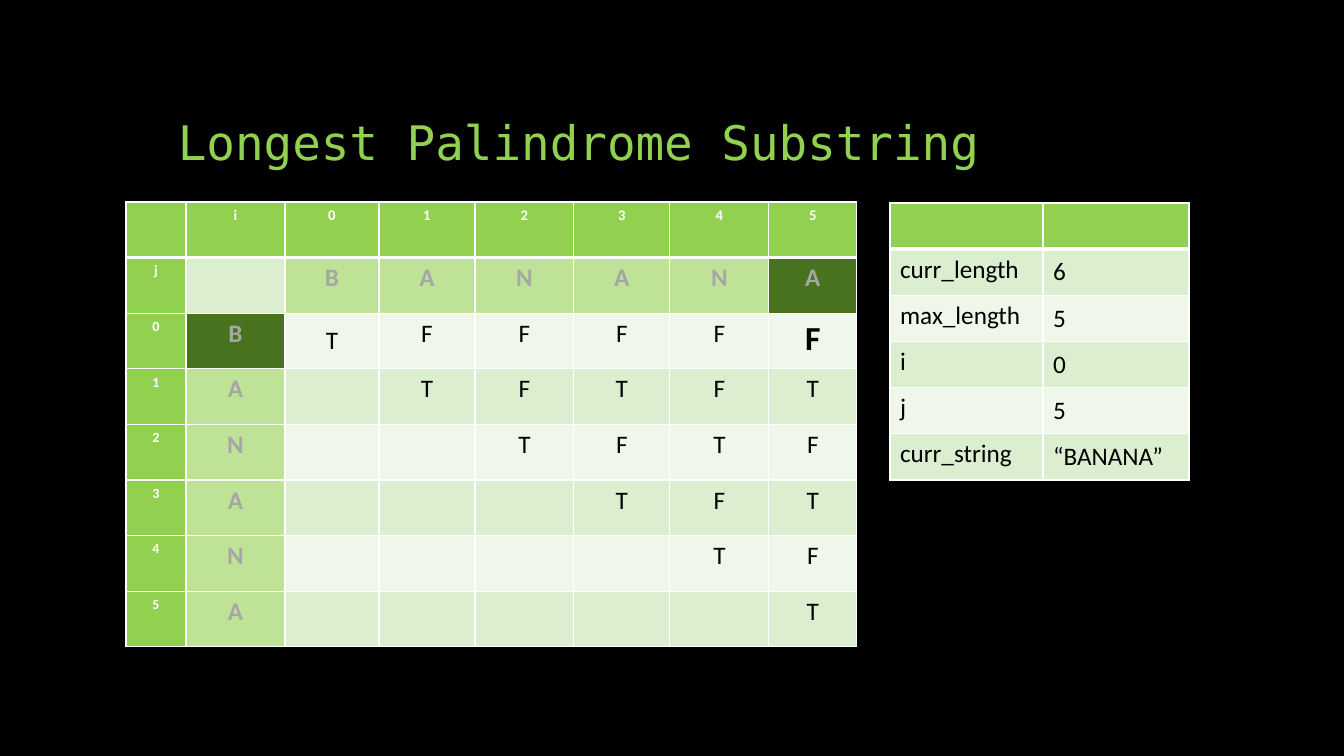
import pptx
import pptx.util
import pptx.dml.color
import pptx.enum.text
import pptx.oxml.ns
import lxml.etree

# Content
TITLE = "Longest Palindrome Substring"
WORD = "BANANA"
# Row = start of substring, column = its end
PALINDROMES = ["TFFFFF", " TFTFT", "  TFTF", "   TFT", "    TF", "     T"]
VARIABLES = [
    ("curr_length", "6"),
    ("max_length", "5"),
    ("i", "0"),
    ("j", "5"),
    ("curr_string", "“BANANA”"),
]
START, END = 0, 5  # substring under test

# Layout in px
SLIDE = (1344, 756)
TITLE_BOX = (168, 50, 1008, 126)
GRID_AT, GRID_COLUMNS, GRID_HEIGHT = (126, 202), (60, 99, 94, 96, 99, 96, 99, 88), 445
VARS_AT, VARS_COLUMNS, VARS_HEIGHT = (890, 203), (153, 146), 277

# Look
BLACK, WHITE, GRAY = "000000", "FFFFFF", "A6A6A6"
GREEN, LETTER_GREEN, ACTIVE_GREEN = "92D050", "BEE396", "49721E"
BANDS = ("EEF7E9", "DCEED0")
ANCHOR = pptx.enum.text.MSO_ANCHOR
CENTER = pptx.enum.text.PP_ALIGN.CENTER


def px(length):
    return pptx.util.Emu(round(length * 914400 / 100.8))


def color(hex_code):
    return pptx.dml.color.RGBColor.from_string(hex_code)


def write(frame, text, size=18, ink=BLACK, bold=False, font="Calibri", align=None, spacing=None):
    paragraph = frame.paragraphs[0]
    paragraph.alignment = align
    paragraph.line_spacing = spacing
    run = paragraph.add_run()
    run.text = text
    run.font.size = pptx.util.Pt(size)
    run.font.name = font
    run.font.bold = bold
    run.font.color.rgb = color(ink)


def border(cell, side, points):
    properties = cell._tc.get_or_add_tcPr()
    line = lxml.etree.SubElement(properties, pptx.oxml.ns.qn("a:ln" + side), w=str(pptx.util.Pt(points)))
    fill = lxml.etree.SubElement(line, pptx.oxml.ns.qn("a:solidFill"))
    lxml.etree.SubElement(fill, pptx.oxml.ns.qn("a:srgbClr"), val=WHITE)


def banded_table(at, columns, height, row_count):
    """Table with white rules, a green top row and alternating bands."""
    table = slide.shapes.add_table(
        row_count, len(columns), px(at[0]), px(at[1]), px(sum(columns)), px(height)).table
    for column, width in zip(table.columns, columns):
        column.width = px(width)
    for r, row in enumerate(table.rows):
        for cell in row.cells:
            for side in "LRTB":
                under_header = (r, side) in [(0, "B"), (1, "T")]
                border(cell, side, 3 if under_header else 1)
            paint(cell, BANDS[r % 2] if r else GREEN)
    return table


def paint(cell, hex_code):
    cell.fill.solid()
    cell.fill.fore_color.rgb = color(hex_code)


presentation = pptx.Presentation()
presentation.slide_width, presentation.slide_height = map(px, SLIDE)
slide = presentation.slides.add_slide(presentation.slide_layouts[6])
slide.background.fill.solid()
slide.background.fill.fore_color.rgb = color(BLACK)

# Title
heading = slide.shapes.add_textbox(*map(px, TITLE_BOX)).text_frame
heading.word_wrap = True
heading.vertical_anchor = ANCHOR.BOTTOM
write(heading, TITLE, size=34, ink=GREEN, font="DejaVu Sans Mono", spacing=0.9)

# Palindrome grid: indices, then letters, along the top and the left
grid = banded_table(GRID_AT, GRID_COLUMNS, GRID_HEIGHT, len(WORD) + 2)
for n, label in enumerate(["i", *range(len(WORD))]):
    write(grid.cell(0, n + 1).text_frame, str(label), size=10.5, ink=WHITE, bold=True, align=CENTER)
for n, label in enumerate(["j", *range(len(WORD))]):
    index = grid.cell(n + 1, 0)
    paint(index, GREEN)
    write(index.text_frame, str(label), size=10, ink=WHITE, bold=True, align=CENTER)
for n, letter in enumerate(WORD):
    for cell, active in [(grid.cell(1, n + 2), n == END), (grid.cell(n + 2, 1), n == START)]:
        paint(cell, ACTIVE_GREEN if active else LETTER_GREEN)
        write(cell.text_frame, letter, ink=GRAY, bold=True, align=CENTER)

# Palindrome results
for start, results in enumerate(PALINDROMES):
    for end in range(start, len(WORD)):
        current = (start, end) == (START, END)
        write(grid.cell(start + 2, end + 2).text_frame, results[end],
              size=24 if current else 18, bold=current, align=CENTER)
grid.cell(2, 2).vertical_anchor = ANCHOR.MIDDLE

# Variables
variables = banded_table(VARS_AT, VARS_COLUMNS, VARS_HEIGHT, len(VARIABLES) + 1)
for r, (name, value) in enumerate(VARIABLES, 1):
    write(variables.cell(r, 0).text_frame, name)
    write(variables.cell(r, 1).text_frame, value)
    variables.cell(r, 1).vertical_anchor = ANCHOR.MIDDLE

presentation.save("out.pptx")
